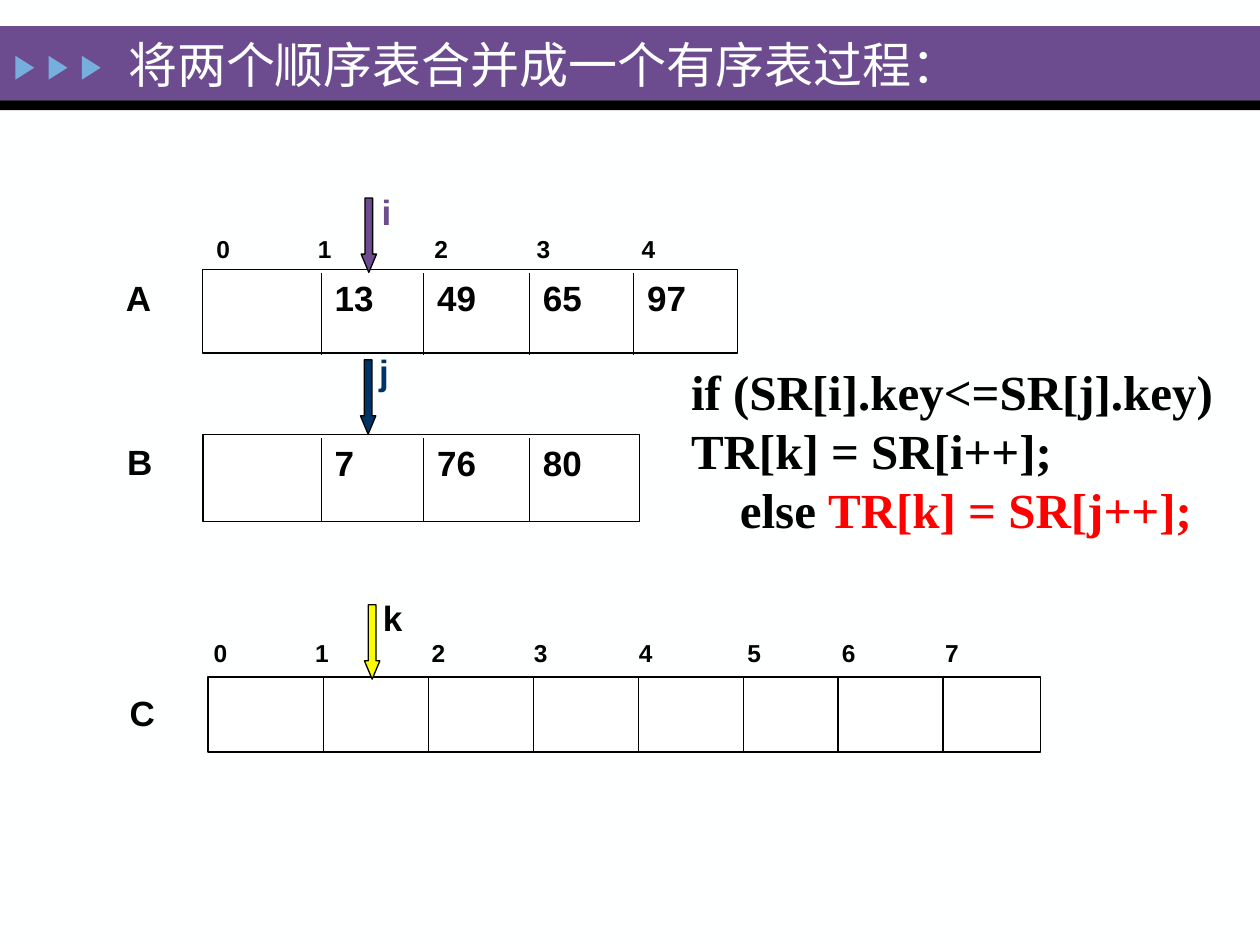
from lxml.etree import SubElement
from pptx import Presentation
from pptx.dml.color import RGBColor
from pptx.enum.shapes import MSO_CONNECTOR, MSO_SHAPE
from pptx.enum.text import MSO_ANCHOR
from pptx.oxml.ns import qn
from pptx.util import Pt

COLORS = {
    "paper": "FEFFFF", "white": "FFFFFF", "black": "000000",
    "purple": "6C4C8F", "sky": "76AEDD", "navy": "003366",
    "yellow": "FAFD00", "red": "FF0000",
}


def color(name):
    return RGBColor.from_string(COLORS[name])


def add_span(para, text, *, size=20, font="Arial", ink="black", bold=True):
    span = para.add_run()
    span.text = text
    span.font.name = font
    span.font.size = Pt(size)
    span.font.bold = bold
    span.font.color.rgb = color(ink)


class SlideBuilder:
    def __init__(self, page):
        self.page = page
        self.line_width = Pt(0.75)
        page.background.fill.solid()
        page.background.fill.fore_color.rgb = color("paper")

    def shape(self, kind, left, top, width, height, fill, outlined=False):
        shape = self.page.shapes.add_shape(
            kind, Pt(left), Pt(top), Pt(width), Pt(height))
        shape.shadow.inherit = False
        shape.fill.solid()
        shape.fill.fore_color.rgb = color(fill)
        if outlined:
            shape.line.color.rgb = color("black")
            shape.line.width = self.line_width
        else:
            shape.line.fill.background()
        return shape

    def divider(self, x, top, bottom):
        line = self.page.shapes.add_connector(
            MSO_CONNECTOR.STRAIGHT, Pt(x), Pt(top), Pt(x), Pt(bottom))
        line.line.color.rgb = color("black")
        line.line.width = self.line_width
        SubElement(line._element.spPr, qn("a:effectLst"))

    def text(self, left, top, width, height, *paragraphs, tabs=(),
             anchor=MSO_ANCHOR.TOP, **style):
        """Each paragraph is a list of (text, overrides) spans."""
        box = self.page.shapes.add_textbox(
            Pt(left), Pt(top), Pt(width), Pt(height))
        frame = box.text_frame
        frame.word_wrap = True
        frame.vertical_anchor = anchor
        for number, spans in enumerate(paragraphs):
            para = frame.add_paragraph() if number else frame.paragraphs[0]
            if tabs:
                tab_list = SubElement(para._p.get_or_add_pPr(), qn("a:tabLst"))
                for stop in tabs:
                    SubElement(tab_list, qn("a:tab"),
                               pos=str(int(Pt(stop))), algn="l")
            for text, overrides in spans:
                add_span(para, text, **{**style, **overrides})

    def label(self, text, left, top, width=48, ink="black"):
        self.text(left, top, width, 31, [(text, {})], ink=ink)

    def indices(self, left, top, width, stops):
        numbers = "\t".join(str(n) for n in range(len(stops) + 1))
        self.text(left, top, width, 24, [(numbers, {})], tabs=stops, size=14)

    def array(self, name, name_left, left, top, width, height,
              dividers, span, values=()):
        self.shape(MSO_SHAPE.RECTANGLE, left, top, width, height, "white", True)
        for x in dividers:
            self.divider(x, top + span[0], top + span[1])
        for x, value in zip(dividers, values):
            self.label(value, x + 0.5, top + 0.3)
        self.label(name, name_left, top + min(0, height - 48) * -1)

    def pointer(self, name, left, top, fill, ink, name_left, name_top):
        arrow = self.shape(MSO_SHAPE.DOWN_ARROW, left, top, 8.8, 42.5, fill, True)
        arrow.adjustments[0] = 0.5
        arrow.adjustments[1] = 1.19
        self.label(name, name_left, name_top, 38, ink)


def main():
    deck = Presentation()
    deck.slide_width, deck.slide_height = Pt(720), Pt(540)
    builder = SlideBuilder(deck.slides.add_slide(deck.slide_layouts[6]))

    # Title band
    builder.shape(MSO_SHAPE.RECTANGLE, 0, 15, 720, 42.5, "purple")
    builder.shape(MSO_SHAPE.RECTANGLE, 0, 57.3, 720, 5.7, "black")
    for number in range(3):
        marker = builder.shape(MSO_SHAPE.ISOSCELES_TRIANGLE,
                               7.3 + 19 * number, 33.3, 13.7, 10.8, "sky")
        marker.rotation = 90
    builder.text(66.2, 18.7, 504, 36,
                 [("将两个顺序表合并成一个有序表过程：", {})],
                 anchor=MSO_ANCHOR.MIDDLE, size=28, bold=False,
                 font="Times New Roman", ink="paper")

    # Source arrays A and B, target array C
    stops = [58, 124.5, 183, 243, 305, 359, 418]
    columns = [183.6, 242.2, 302.6, 362.2]
    builder.indices(116.6, 130.3, 306, stops[:4])
    builder.array("A", 64.8, 115.5, 154.1, 306, 47.6, columns, (2, 49),
                  ["13", "49", "65", "97"])
    builder.array("B", 65.5, 116, 248.3, 249.5, 49.6, columns[:3], (2, 49.3),
                  ["7", "76", "80"])
    builder.array("C", 67, 118.8, 386.8, 475.8, 43,
                  [184.8, 244.8, 304.8, 364.8, 424.8, 478.8, 538.8], (0, 43.7))
    builder.indices(115, 361.3, 480, stops)

    # Position pointers
    builder.pointer("i", 206.4, 113.2, "purple", "purple", 211, 105.5)
    builder.pointer("j", 206, 205.6, "navy", "navy", 209.5, 197)
    builder.pointer("k", 208.3, 345.6, "yellow", "black", 211.7, 337.5)

    # Comparison step
    builder.text(387.8, 203, 360, 116,
                 [("if (SR[i].key<=SR[j].key)  TR[k] = SR[i++];", {})],
                 [("    else ", {}), ("TR[k] = SR[j++];", {"ink": "red"})],
                 size=28, font="Times New Roman")

    deck.save("out.pptx")


if __name__ == "__main__":
    main()
